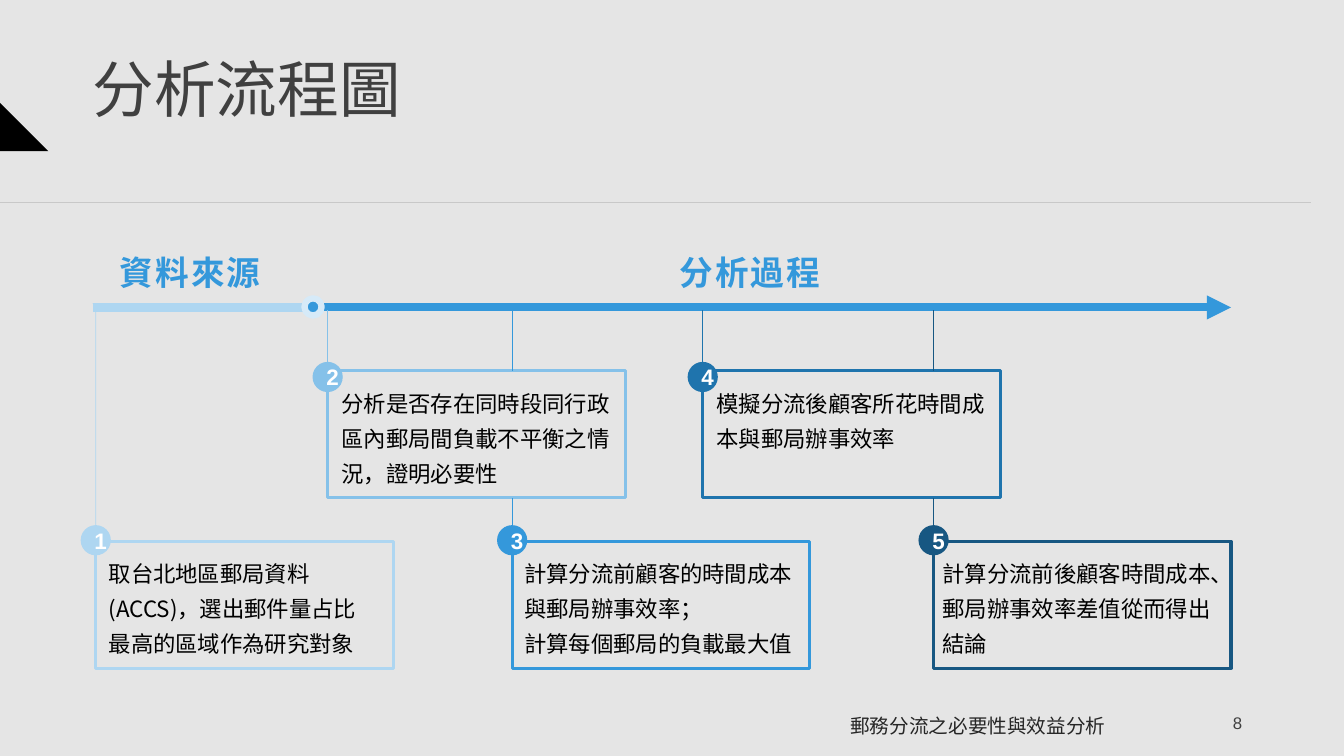
from dataclasses import dataclass

import pptx
import pptx.dml.color
import pptx.enum.dml
import pptx.enum.shapes
import pptx.enum.text
import pptx.oxml
import pptx.oxml.ns
import pptx.util

SHAPE = pptx.enum.shapes.MSO_SHAPE
ALIGN = pptx.enum.text.PP_ALIGN
ANCHOR = pptx.enum.text.MSO_ANCHOR
Inches = pptx.util.Inches


@dataclass(frozen=True)
class Theme:
    page: str = "E5E5E5"
    band: str = "000000"
    title: str = "404040"
    body: str = "000000"
    footer: str = "262626"
    white: str = "FFFFFF"
    axis: str = "3498DB"
    source: str = "AED6F1"
    halo: str = "D6EAF8"
    steps: tuple = ("AED6F1", "85C1E9", "3498DB", "1F74AD", "175782")
    cjk: str = "Noto Sans CJK SC"
    latin: str = "Arial"
    title_size: int = 44
    label_size: int = 24
    body_size: int = 16
    footer_size: int = 14
    number_size: int = 12


THEME = Theme()
WIDTH, HEIGHT = 13.33, 7.5
AXIS_Y = 3.05
BOX_W, BOX_H = 2.95, 1.26
BADGE = 0.3
# Row: top of its boxes, and how far a badge rises above them
UPPER, LOWER = (3.68, 0.09), (5.37, 0.16)

# Step: left of box, row, indent of text, paragraphs
STEPS = [
    (0.95, LOWER, 0.03, ["取台北地區郵局資料 (ACCS)，選出郵件量占比最高的區域作為研究對象"]),
    (3.25, UPPER, 0.04, ["分析是否存在同時段同行政區內郵局間負載不平衡之情況，證明必要性"]),
    (5.08, LOWER, 0.02, ["計算分流前顧客的時間成本與郵局辦事效率；", "計算每個郵局的負載最大值"]),
    (6.97, UPPER, 0.04, ["模擬分流後顧客所花時間成本與郵局辦事效率"]),
    (9.26, LOWER, -0.01, ["計算分流前後顧客時間成本、郵局辦事效率差值從而得出結論"]),
]


def rgb(color):
    return pptx.dml.color.RGBColor.from_string(color)


def write(frame, paragraphs, *, size, color, font=THEME.cjk, bold=False, align=ALIGN.LEFT,
          anchor=ANCHOR.TOP, spacing=None, tracking=None, wrap=True):
    frame.auto_size = pptx.enum.text.MSO_AUTO_SIZE.NONE
    frame.word_wrap = wrap
    frame.vertical_anchor = anchor
    for index, words in enumerate(paragraphs):
        paragraph = frame.add_paragraph() if index else frame.paragraphs[0]
        paragraph.alignment = align
        paragraph.line_spacing = spacing
        run = paragraph.add_run()
        run.text = words
        run.font.size = pptx.util.Pt(size)
        run.font.bold = bold
        run.font.name = font
        run.font.color.rgb = rgb(color)
        properties = run.font._element
        if tracking:
            properties.set("spc", str(int(tracking * 100)))
        east_asian = pptx.oxml.parse_xml(
            f'<a:ea {pptx.oxml.ns.nsdecls("a")} typeface="{font}"/>')
        properties.find(pptx.oxml.ns.qn("a:latin")).addnext(east_asian)


def text_box(slide, box, paragraphs, **style):
    holder = slide.shapes.add_textbox(*map(Inches, box))
    write(holder.text_frame, paragraphs, **style)


def paint(shape, fill=None, line=None, weight=1):
    shape.shadow.inherit = False
    if fill:
        shape.fill.solid()
        shape.fill.fore_color.rgb = rgb(fill)
    else:
        shape.fill.background()
    if line:
        shape.line.color.rgb = rgb(line)
        shape.line.width = pptx.util.Pt(weight)
    else:
        shape.line.fill.background()


def add_shape(slide, preset, box, **look):
    shape = slide.shapes.add_shape(preset, *map(Inches, box))
    paint(shape, **look)
    return shape


def add_line(slide, start, end, color, weight=0.5, arrow=False):
    line = slide.shapes.add_connector(
        pptx.enum.shapes.MSO_CONNECTOR.STRAIGHT, *map(Inches, (*start, *end)))
    line.line.color.rgb = rgb(color)
    line.line.width = pptx.util.Pt(weight)
    namespace = pptx.oxml.ns.nsdecls("a")
    if arrow:
        line.line._get_or_add_ln().append(
            pptx.oxml.parse_xml(f'<a:tailEnd {namespace} type="triangle"/>'))
    line._element.spPr.append(pptx.oxml.parse_xml(f"<a:effectLst {namespace}/>"))
    return line


def header(slide, box):
    left, top, width, height = box
    # Black band with a slanted end, and the corner triangle above it
    builder = slide.shapes.build_freeform(left + 0.02, top + height, scale=Inches(1))
    builder.add_line_segments(
        [(left + 0.94 * width, top + height), (left + 0.95 * width, top + height + 0.11),
         (left + 0.02, top + height + 0.11)], close=True)
    paint(builder.convert_to_shape(), fill=THEME.band)
    add_shape(slide, SHAPE.RIGHT_TRIANGLE, (left, top + height - 0.48, 0.48, 0.48),
              fill=THEME.band)
    # Title
    title = slide.shapes.title
    title.left, title.top, title.width, title.height = map(
        Inches, (left + 0.82, top + 0.54, 11.63, 0.84))
    write(title.text_frame, ["分析流程圖"], size=THEME.title_size, color=THEME.title, spacing=0.9)


def timeline(slide, box):
    left, top, width, height = box
    axis, split = top + height, left + 2.1
    add_line(slide, (left, axis), (left + width, axis), THEME.axis, 5.75, arrow=True)
    add_line(slide, (left, axis), (split, axis), THEME.source, 6)
    add_shape(slide, SHAPE.OVAL, (split, axis - 0.09, 0.17, 0.17),
              fill=THEME.axis, line=THEME.halo, weight=4.5)
    # Phase labels
    for offset, phase in ((0.17, "資料來源"), (5.72, "分析過程")):
        text_box(slide, (left + offset, top, 1.63, 0.5), [phase], size=THEME.label_size,
                 color=THEME.axis, bold=True, tracking=1.5, wrap=False)


def step(slide, box, number, lift, indent, paragraphs, behind):
    left, top, width, height = box
    color = THEME.steps[number - 1]
    add_shape(slide, SHAPE.FLOWCHART_PROCESS, box, line=color, weight=2.25)
    text_box(slide, (left + indent, top + 0.06, 2.87, 1.15), paragraphs,
             size=THEME.body_size, color=THEME.body, spacing=1.3)
    # Numbered badge on the corner
    badge = add_shape(slide, SHAPE.OVAL, (left - BADGE / 2, top - lift, BADGE, BADGE), fill=color)
    frame = badge.text_frame
    frame.margin_left, frame.margin_right = Inches(0.1), 0
    frame.margin_top = frame.margin_bottom = 0
    write(frame, [str(number)], size=THEME.body_size, color=THEME.white, font=THEME.latin,
          bold=True, align=ALIGN.CENTER, anchor=ANCHOR.MIDDLE, wrap=False)
    # Stem from the axis, broken where it passes an upper box
    start = AXIS_Y + 0.03
    if behind:
        add_line(slide, (left, start), (left, UPPER[0]), color)
        start = UPPER[0] + BOX_H
    stem = add_line(slide, (left, start), (left, top - lift), color)
    stem.end_connect(badge, 0)


def process(slide):
    upper_lefts = [left for left, row, *_ in STEPS if row == UPPER]
    for number, (left, row, indent, paragraphs) in enumerate(STEPS, 1):
        top, lift = row
        behind = row == LOWER and any(edge < left < edge + BOX_W for edge in upper_lefts)
        step(slide, (left, top, BOX_W, BOX_H), number, lift, indent, paragraphs, behind)


def footer(slide, box):
    left, top, width, height = box
    text_box(slide, (left, top + 0.03, 4.5, height), ["郵務分流之必要性與效益分析"],
             size=THEME.footer_size, color=THEME.footer, align=ALIGN.CENTER,
             anchor=ANCHOR.MIDDLE, spacing=1.2)
    text_box(slide, (left + width - 3, top, 3, height), ["8"], size=THEME.number_size,
             color=THEME.title, font=THEME.latin, align=ALIGN.RIGHT,
             anchor=ANCHOR.MIDDLE, spacing=1.2)


def main():
    deck = pptx.Presentation()
    deck.slide_width, deck.slide_height = Inches(WIDTH), Inches(HEIGHT)
    slide = deck.slides.add_slide(deck.slide_layouts[5])
    slide.background.fill.solid()
    slide.background.fill.fore_color.rgb = rgb(THEME.page)
    header(slide, (0, 0, WIDTH, 0.2 * HEIGHT))
    timeline(slide, (0.92, 2.45, 11.29, AXIS_Y - 2.45))
    process(slide)
    footer(slide, (7.45, 6.95, 4.97, 0.4))
    deck.save("out.pptx")


if __name__ == "__main__":
    main()
